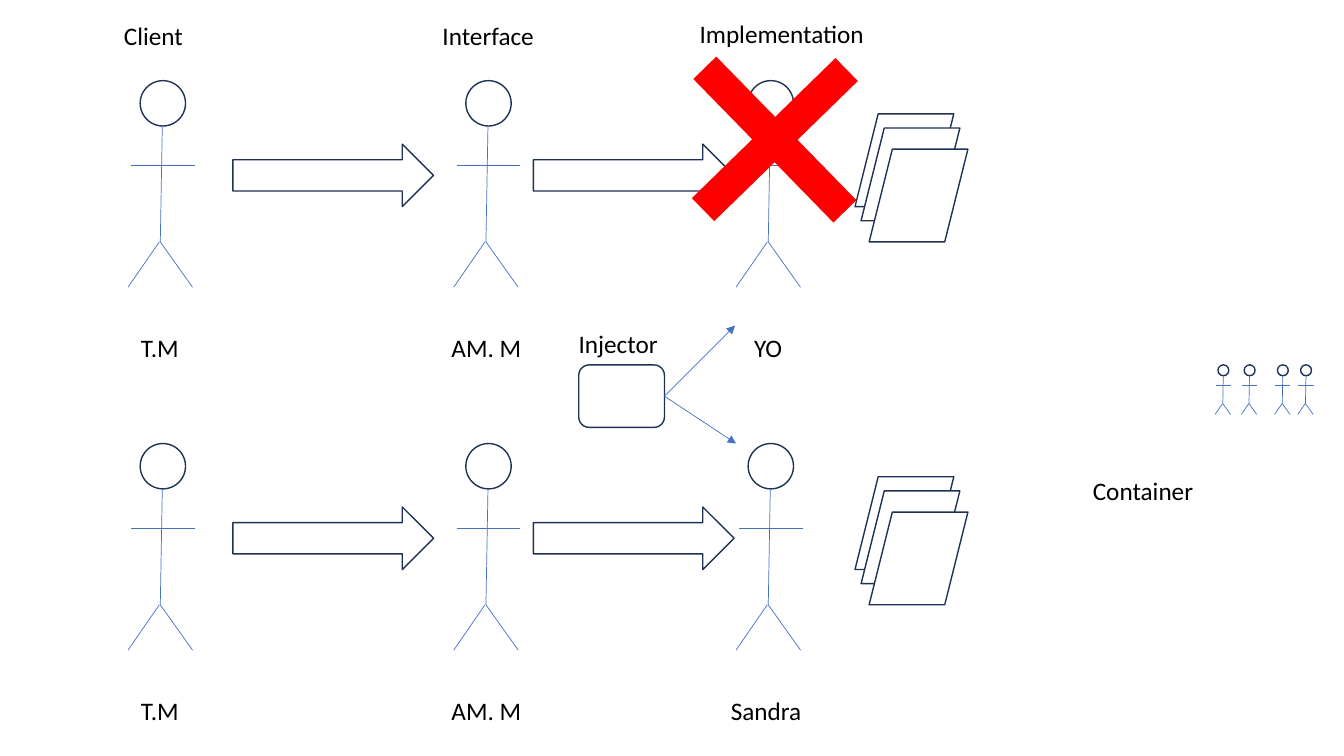
from dataclasses import dataclass

from lxml import etree
from pptx import Presentation
from pptx import util as u
from pptx.dml.color import RGBColor
from pptx.enum import shapes, text
from pptx.oxml import ns


@dataclass(frozen=True)
class Theme:
    font: str = "Calibri"
    size: float = 18
    ink: str = "000000"
    outline: str = "1E3256"
    stroke: str = "4472C4"
    paper: str = "FFFFFF"
    cross: str = "FF0000"
    outline_width: float = 1
    stroke_width: float = 0.5


THEME = Theme()
KIND = shapes.MSO_SHAPE
WIDTH, HEIGHT = 13.33, 7.5
ROW_TOPS = [0.8, 4.4]
PERSON_COLUMNS = [1.39, 4.62, 7.42]
ARROW_COLUMNS = [2.31, 5.29]
HEAD = 0.45
CROWD_COLUMNS = [12.08, 12.34, 12.67, 12.9]
CROWD_TOP, CROWD_SCALE = 3.62, 0.24

LIMBS = [
    ((0.22, 0.45), (0.2, 1.6)),
    ((0.19, 1.6), (-0.12, 2.05)),
    ((0.52, 2.05), (0.2, 1.6)),
    ((0.54, 0.84), (-0.09, 0.84)),
]
PAGES = [(8.48, 0.33), (8.54, 0.47), (8.62, 0.68)]
HEADINGS = [
    ("Client", 1.13, 0.15, 0.79),
    ("Interface", 4.29, 0.15, 1.12),
    ("Implementation", 6.84, 0.13, 1.85),
    ("Injector", 5.64, 3.21, 0.99),
    ("Container", 10.74, 4.67, 1.21),
]
NAMES = [
    [("T.M", 1.3, 0.58), ("AM. M", 4.38, 0.9), ("YO", 7.38, 0.48)],
    [("T.M", 1.3, 0.58), ("AM. M", 4.38, 0.9), ("Sandra", 7.15, 0.91)],
]
NAME_DROP, LABEL_HEIGHT = 2.45, 0.4
INJECTOR = (5.74, 3.62, 0.85, 0.62)
INJECTION_TARGETS = [(7.29, 3.23), (7.3, 4.4)]
CROSS = (6.69, 0.39, 1.99, 1.99)


def inches(*values):
    return [u.Inches(v) for v in values]


def color(name):
    return RGBColor.from_string(name)


def add_figure(host, kind, box, fill=None, outlined=True):
    sp = host.add_shape(kind, *inches(*box))
    sp.shadow.inherit = False
    if fill:
        sp.fill.solid()
        sp.fill.fore_color.rgb = color(fill)
    else:
        sp.fill.background()
    if outlined:
        sp.line.color.rgb = color(THEME.outline)
        sp.line.width = u.Pt(THEME.outline_width)
    else:
        sp.line.fill.background()
    return sp


def add_line(host, start, end):
    line = host.add_connector(shapes.MSO_CONNECTOR.STRAIGHT, *inches(*start, *end))
    line.line.color.rgb = color(THEME.stroke)
    line.line.width = u.Pt(THEME.stroke_width)
    etree.SubElement(line._element.spPr, ns.qn("a:effectLst"))
    return line


def add_person(s, left, top, scale=1):
    group = s.shapes.add_group_shape().shapes
    add_figure(group, KIND.OVAL, (left, top, HEAD * scale, HEAD * scale))
    for limb in LIMBS:
        start, end = [(left + x * scale, top + y * scale) for x, y in limb]
        add_line(group, start, end)


def add_label(s, words, left, top, width):
    tf = s.shapes.add_textbox(*inches(left, top, width, LABEL_HEIGHT)).text_frame
    tf.word_wrap = False
    tf.auto_size = text.MSO_AUTO_SIZE.SHAPE_TO_FIT_TEXT
    p = tf.paragraphs[0]
    p.text = words
    p.font.name = THEME.font
    p.font.size = u.Pt(THEME.size)
    p.font.color.rgb = color(THEME.ink)


def add_row(s, top, names):
    for left in PERSON_COLUMNS:
        add_person(s, left, top)
    for left in ARROW_COLUMNS:
        add_figure(s.shapes, KIND.RIGHT_ARROW, (left, top + 0.63, 1.99, 0.62))
    for left, drop in PAGES:
        add_figure(s.shapes, KIND.PARALLELOGRAM, (left, top + drop, 0.98, 0.92), THEME.paper)
    for words, left, width in names:
        add_label(s, words, left, top + NAME_DROP, width)


def add_injector(s):
    box = add_figure(s.shapes, KIND.ROUNDED_RECTANGLE, INJECTOR)
    left, top, width, height = INJECTOR
    for target in INJECTION_TARGETS:
        arrow = add_line(s.shapes, (left + width, top + height / 2), target)
        arrow.begin_connect(box, 3)
        etree.SubElement(arrow.line._get_or_add_ln(), ns.qn("a:tailEnd"), type="triangle")


def main():
    prs = Presentation()
    prs.slide_width, prs.slide_height = inches(WIDTH, HEIGHT)
    s = prs.slides.add_slide(prs.slide_layouts[6])
    for top, names in zip(ROW_TOPS, NAMES):
        add_row(s, top, names)
    cross = add_figure(s.shapes, KIND.CROSS, CROSS, THEME.cross, outlined=False)
    cross.adjustments[0] = 0.42
    cross.rotation = 45.7
    add_injector(s)
    for left in CROWD_COLUMNS:
        add_person(s, left, CROWD_TOP, CROWD_SCALE)
    for heading in HEADINGS:
        add_label(s, *heading)
    prs.save("out.pptx")


if __name__ == "__main__":
    main()
